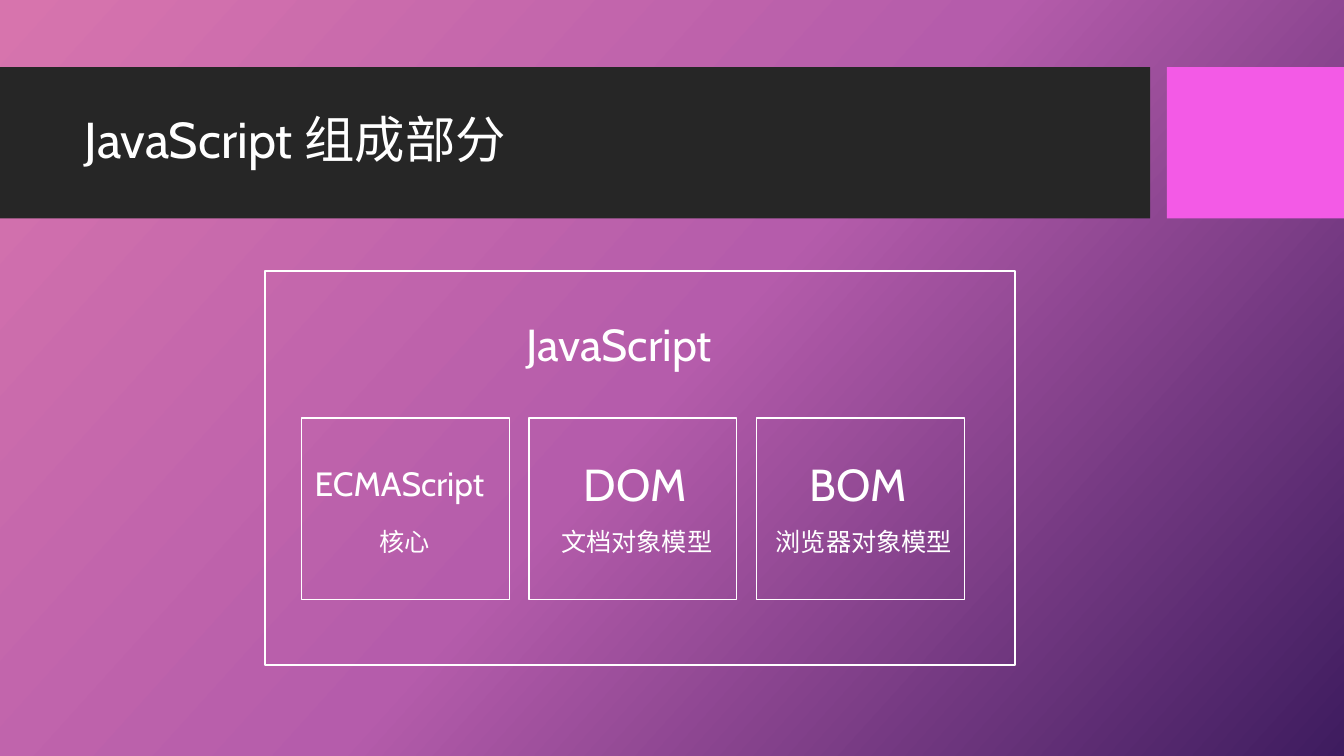
"""Build a slide showing the three parts of JavaScript."""
import copy

import pptx
import pptx.dml.color
import pptx.enum.shapes
import pptx.enum.text
import pptx.util

Pt = pptx.util.Pt
RGB = pptx.dml.color.RGBColor
RECT = pptx.enum.shapes.MSO_SHAPE.RECTANGLE
WHITE = RGB(0xFF, 0xFF, 0xFF)
CHARCOAL = RGB(0x26, 0x26, 0x26)
MAGENTA = RGB(0xF3, 0x5A, 0xE6)
PINK = RGB(0xD7, 0x74, 0xAD)
ORCHID = RGB(0xB5, 0x5C, 0xAB)
PURPLE = RGB(0x3E, 0x1C, 0x5F)
FONT = "Cabin"


def add_rect(shapes, x, y, w, h, color=None):
    sp = shapes.add_shape(RECT, Pt(x), Pt(y), Pt(w), Pt(h))
    sp.shadow.inherit = False
    if color is None:
        sp.fill.background()
        sp.line.color.rgb = WHITE
        sp.line.width = Pt(1)
    else:
        sp.fill.solid()
        sp.fill.fore_color.rgb = color
        sp.line.fill.background()
    return sp


def add_label(shapes, text, x, y, w, h, size):
    tf = shapes.add_textbox(Pt(x), Pt(y), Pt(w), Pt(h)).text_frame
    tf.word_wrap = False
    tf.auto_size = pptx.enum.text.MSO_AUTO_SIZE.SHAPE_TO_FIT_TEXT
    p = tf.paragraphs[0]
    p.text = text
    p.font.name = FONT
    p.font.size = Pt(size)
    p.font.color.rgb = WHITE


prs = pptx.Presentation()
prs.slide_width, prs.slide_height = Pt(960), Pt(540)
s = prs.slides.add_slide(prs.slide_layouts[5])

fill = s.background.fill
fill.gradient()
fill.gradient_angle = 318
first = s.element.xpath(".//a:gs")[0]
first.addnext(copy.deepcopy(first))
for stop, position, color in zip(fill.gradient_stops, (0, 0.5, 1), (PINK, ORCHID, PURPLE)):
    stop.position = position
    stop.color.rgb = color

title = s.shapes.title
for x, w, color in ((0, 821.5, CHARCOAL), (833.5, 126.5, MAGENTA)):
    bar = add_rect(s.shapes, x, 48, w, 108, color)
    title.element.addprevious(bar.element)

title.left, title.top, title.width, title.height = Pt(53.5), Pt(59), Pt(756.5), Pt(85)
tf = title.text_frame
tf.vertical_anchor = pptx.enum.text.MSO_ANCHOR.MIDDLE
p = tf.paragraphs[0]
p.text = "JavaScript 组成部分"
p.alignment = pptx.enum.text.PP_ALIGN.LEFT
p.line_spacing = 0.9
p.font.name = FONT
p.font.size = Pt(36)
p.font.color.rgb = WHITE

diagram = s.shapes.add_group_shape().shapes
add_rect(diagram, 189.3, 193.5, 535.7, 281.5)
add_label(diagram, "JavaScript", 369.3, 223, 165.5, 46, 32)

parts = (
    ("ECMAScript", 217.7, 327, 147, 36, 24, "核心", 264, 51),
    ("DOM", 409.7, 322.5, 90, 46, 32, "文档对象模型", 393.7, 124),
    ("BOM", 571, 322.5, 88, 46, 32, "浏览器对象模型", 547, 142),
)
for i, (name, x, y, w, h, size, meaning, meaning_x, meaning_w) in enumerate(parts):
    add_rect(diagram, 215.3 + i * 162.5, 298.6, 148.5, 129.8)
    add_label(diagram, name, x, y, w, h, size)
    add_label(diagram, meaning, meaning_x, 372.7, meaning_w, 29, 18)

prs.save("out.pptx")
